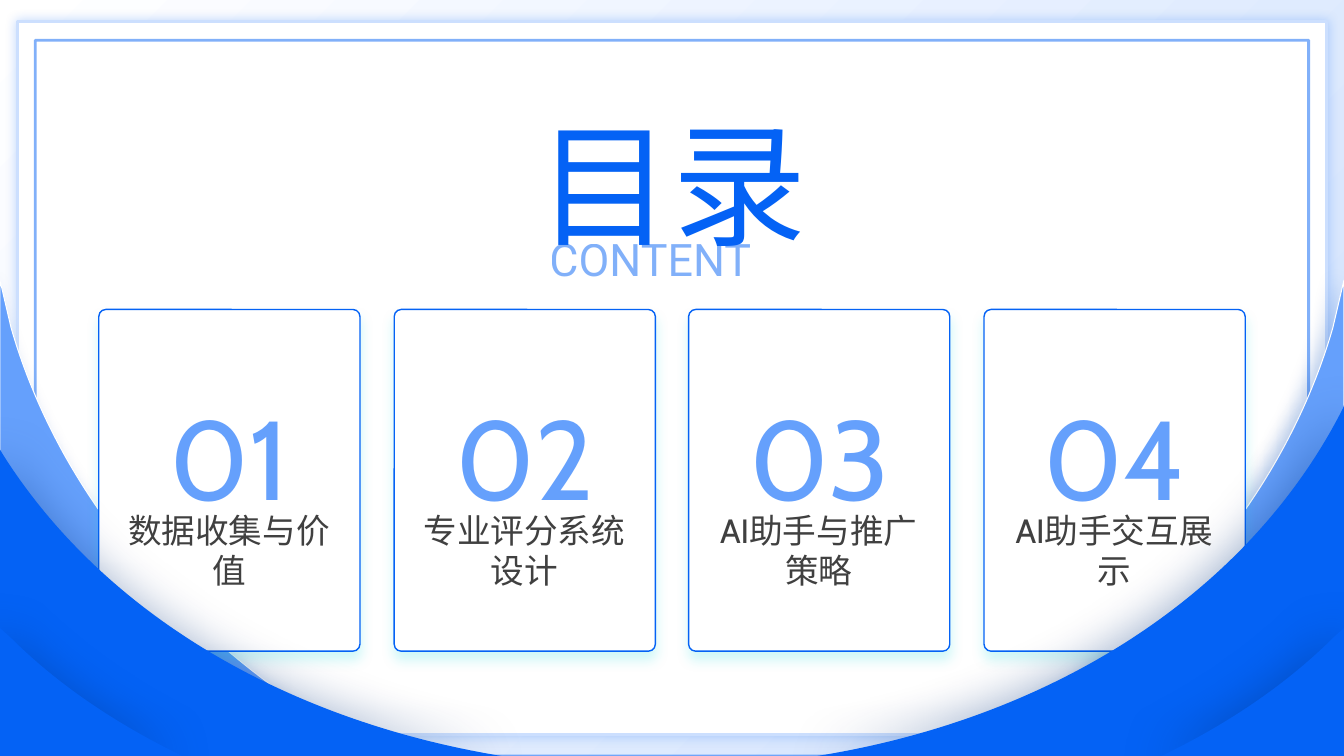
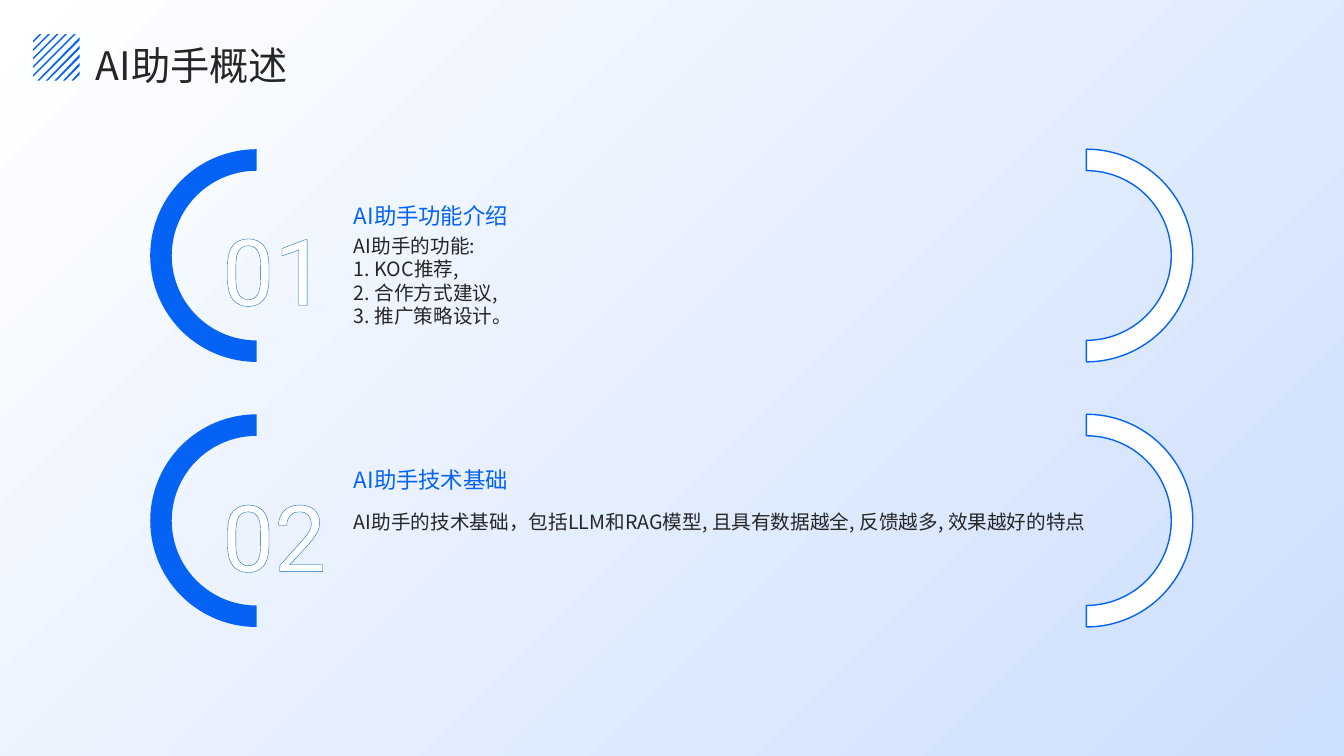
from math import cos, radians, sin

from pptx import Presentation
from pptx.dml.color import RGBColor
from pptx.enum.shapes import MSO_SHAPE
from pptx.enum.text import MSO_ANCHOR, PP_ALIGN
from pptx.oxml import parse_xml
from pptx.oxml.ns import nsdecls, qn
from pptx.util import Pt

PX = 9144
WIDTH, HEIGHT = 1333, 750
BLUE = RGBColor(0x04, 0x62, 0xF5)
LIGHT_BLUE = RGBColor(0x65, 0xA0, 0xFC)
PALE = RGBColor(0xCC, 0xDF, 0xFE)
WHITE = RGBColor(0xFF, 0xFF, 0xFF)
DARK = RGBColor(0x26, 0x26, 0x26)
GREY = RGBColor(0x40, 0x40, 0x40)
NUMBER_LINE = RGBColor(0x00, 0x68, 0xBF)
CYAN = RGBColor(0x00, 0xDA, 0xDA)
MID_SHADOW = RGBColor(0x03, 0x4A, 0xB8)
DEEP_SHADOW = RGBColor(0x02, 0x31, 0x7B)
CABIN, ROBOTO, NOTO = "Cabin", "Roboto", "Noto Sans CJK SC"

FRAME_GLOW = (BLUE, 24, 8, 0, 0)
CARD_GLOW = (CYAN, 18, 9, 6, 90)
MID_GLOW = (MID_SHADOW, 26, 12, 6, 180)
DEEP_GLOW = (DEEP_SHADOW, 40, 36, 3, 180)

LIGHT_WAVE = [(0, 278), (11, 325), (60, 495), (188, 643), (363, 740), (383, 750)]
RIGHT_WAVE = [(0, 402), (1, 405), (92, 585), (281, 708), (510, 748), (522, 750)]
LEFT_WAVE = [(0, 446), (3, 451), (101, 606), (277, 711), (486, 748), (497, 750)]
CORNER_WAVE = [(0, 623), (10, 632), (53, 675), (105, 711), (161, 740), (181, 750)]

TOPICS = ["数据收集与价值", "专业评分系统设计", "AI助手与推广策略", "AI助手交互展示"]
SECTIONS = [
    ("AI助手功能介绍",
     ["AI助手的功能:", "1. KOC推荐,", "2. 合作方式建议, ", "3. 推广策略设计。"], Pt(16.7)),
    ("AI助手技术基础",
     ["AI助手的技术基础，包括LLM和RAG模型, 且具有数据越全, 反馈越多, 效果越好的特点"],
     Pt(25)),
]


def box(*lengths):
    return [length * PX for length in lengths]


def set_alpha(element, percent):
    color = element.find(".//" + qn("a:srgbClr"))
    color.append(parse_xml(f'<a:alpha {nsdecls("a")} val="{percent * 1000}"/>'))


def style(sp, fill=None, line=None, line_width=1, glow=None):
    sp.shadow.inherit = False
    if fill is None:
        sp.fill.background()
    else:
        sp.fill.solid()
        sp.fill.fore_color.rgb = fill
    if line is None:
        sp.line.fill.background()
    else:
        sp.line.color.rgb = line
        sp.line.width = Pt(line_width)
    if glow:
        color, alpha, blur, distance, angle = glow
        effects = sp._element.spPr.find(qn("a:effectLst"))
        effects.append(parse_xml(
            f'<a:outerShdw {nsdecls("a")} blurRad="{Pt(blur)}" dist="{Pt(distance)}" '
            f'dir="{angle * 60000}" algn="ctr" rotWithShape="0"><a:srgbClr val="{color}">'
            f'<a:alpha val="{alpha * 1000}"/></a:srgbClr></a:outerShdw>'))


def add_shape(s, kind, bounds, **look):
    sp = s.shapes.add_shape(kind, *box(*bounds))
    style(sp, **look)
    return sp


def add_outline(s, polygons, **look):
    scaled = [[(x * PX, y * PX) for x, y in polygon] for polygon in polygons]
    builder = s.shapes.build_freeform(*scaled[0][0], scale=1)
    builder.add_line_segments(scaled[0][1:], close=True)
    for polygon in scaled[1:]:
        builder.move_to(*polygon[0])
        builder.add_line_segments(polygon[1:], close=True)
    sp = builder.convert_to_shape()
    style(sp, **look)
    return sp


def add_text(s, bounds, lines, size, color, font, align=PP_ALIGN.LEFT, spacing=1.1,
             anchor=MSO_ANCHOR.TOP, alpha=None, outline=None):
    tf = s.shapes.add_textbox(*box(*bounds)).text_frame
    tf.word_wrap = True
    tf.vertical_anchor = anchor
    tf.margin_left = tf.margin_right = tf.margin_top = tf.margin_bottom = 0
    p = tf.paragraphs[0]
    p.alignment = align
    p.line_spacing = spacing
    for i, line in enumerate(lines):
        if i:
            p.add_line_break()
        r = p.add_run()
        r.text = line
        r.font.size = Pt(size)
        r.font.name = font
        r.font.color.rgb = color
        rpr = r.font._element
        rpr.append(parse_xml(f'<a:ea {nsdecls("a")} typeface="{NOTO}"/>'))
        if alpha:
            set_alpha(rpr, alpha)
        if outline:
            line_color, width = outline
            rpr.insert(0, parse_xml(
                f'<a:ln {nsdecls("a")} w="{Pt(width)}"><a:solidFill>'
                f'<a:srgbClr val="{line_color}"/></a:solidFill></a:ln>'))


def add_background(s):
    sp = add_shape(s, MSO_SHAPE.RECTANGLE, (0, 0, WIDTH, HEIGHT))
    sp.fill.gradient()
    sp.fill.gradient_angle = 315
    for stop, position, color in zip(sp.fill.gradient_stops, (0, 1), (WHITE, PALE)):
        stop.position = position
        stop.color.rgb = color


def turn_back(point, center, degrees):
    x, y = point[0] - center[0], point[1] - center[1]
    c, d = cos(radians(degrees)), sin(radians(degrees))
    return center[0] + x * c + y * d, center[1] - x * d + y * c


def bend(path):
    lines = path.findall(qn("a:lnTo"))[1:4]
    curve = parse_xml(f'<a:cubicBezTo {nsdecls("a")}/>')
    lines[0].addprevious(curve)
    for line in lines:
        curve.append(line[0])
        path.remove(line)


def add_wave(s, points, mirrored, bounds, rotation, **look):
    left, top, width, height = bounds
    center = left + width / 2, top + height / 2
    corners = points + [(0, HEIGHT)]
    if mirrored:
        corners = [(WIDTH - x, y) for x, y in corners]
    sp = add_outline(s, [[turn_back(point, center, rotation) for point in corners]], **look)
    path = sp._element.find(".//" + qn("a:path"))
    bend(path)
    dx, dy = sp.left - left * PX, sp.top - top * PX
    for pt in path.iter(qn("a:pt")):
        pt.set("x", str(int(pt.get("x")) + dx))
        pt.set("y", str(int(pt.get("y")) + dy))
    sp.left, sp.top, sp.width, sp.height = box(*bounds)
    path.set("w", str(sp.width))
    path.set("h", str(sp.height))
    sp.rotation = rotation


def add_frame(s):
    add_outline(s, [[(17, 21), (1316, 21), (1316, 729), (17, 729)]],
                fill=WHITE, line=PALE, line_width=2, glow=FRAME_GLOW)
    border = add_shape(s, MSO_SHAPE.RECTANGLE, (35, 40, 1263, 710), line=BLUE, line_width=2)
    set_alpha(border.line._ln, 50)


def add_hatch(s):
    left, top, right, bottom = 33, 34, 79, 80
    stripes = []
    for i in range(5):
        d = 8.5 * i
        stripes.append([(right, 71 - d), (71 - d, bottom), (73 - d, bottom), (right, 74 - d)])
        stripes.append([(41 + d, top), (39 + d, top), (left, 40 + d), (left, 42 + d)])
    add_outline(s, stripes, fill=BLUE)


def add_section(s, index, heading, lines, spacing):
    arc_top = 148 + 263 * index
    text_top = 187 + 262 * index
    for left, rotation, fill, line in ((149, 270, BLUE, None), (972, 90, WHITE, BLUE)):
        arc = add_shape(s, MSO_SHAPE.BLOCK_ARC, (left, arc_top, 211, 211), fill=fill, line=line)
        for i, value in enumerate((108, 0, 0.101)):
            arc.adjustments[i] = value
        arc.rotation = rotation
    add_text(s, (204, 187 + 264 * index, 136, 126), [f"{index + 1:02}"], 66, WHITE, ROBOTO,
             PP_ALIGN.CENTER, 1.3, MSO_ANCHOR.MIDDLE, outline=(NUMBER_LINE, 1.25))
    add_text(s, (351, text_top, 772, 40), [heading], 16, BLUE, NOTO,
             spacing=1.3, anchor=MSO_ANCHOR.BOTTOM)
    add_text(s, (351, text_top + 45, 772, 108), lines, 14, DARK, NOTO, spacing=spacing)


def build_contents(s):
    add_background(s)
    add_frame(s)
    for mirrored, left, rotation in ((True, 1041, 20.6), (False, -66, 339.4)):
        add_wave(s, LIGHT_WAVE, mirrored, (left, 255, 358, 577), rotation,
                 fill=LIGHT_BLUE, line=WHITE, line_width=0.75, glow=MID_GLOW)
    card_lefts = [98 + (585 * i + 1) // 2 for i in range(len(TOPICS))]
    for left in card_lefts:
        card = add_shape(s, MSO_SHAPE.ROUNDED_RECTANGLE, (left, 307, 259, 339),
                         fill=WHITE, line=BLUE, glow=CARD_GLOW)
        card.adjustments[0] = 0.027
    for points, mirrored, bounds, rotation in (
            (RIGHT_WAVE, True, (948, 343, 417, 592), 37.1),
            (LEFT_WAVE, False, (-23, 382, 397, 542), 322.9),
            (CORNER_WAVE, True, (1210, 609, 128, 218), 44.9),
            (CORNER_WAVE, False, (-5, 609, 128, 218), 315.1)):
        add_wave(s, points, mirrored, bounds, rotation, fill=BLUE, glow=DEEP_GLOW)
    add_text(s, (454, 84, 425, 147), ["目录"], 96, BLUE, CABIN, PP_ALIGN.CENTER,
             Pt(126.7), outline=(WHITE, 1))
    add_text(s, (545, 225, 244, 49), ["CONTENT"], 32, BLUE, ROBOTO,
             PP_ALIGN.JUSTIFY, alpha=50)
    for i, (left, topic) in enumerate(zip(card_lefts, TOPICS), 1):
        add_text(s, (left + 43, 372, 174, 122), [f"{i:02}"], 80, LIGHT_BLUE, CABIN,
                 PP_ALIGN.CENTER)
        add_text(s, (left + 28, 506, 202, 122), [topic], 24, GREY, CABIN,
                 PP_ALIGN.CENTER, Pt(28.7))


def build_overview(s):
    add_background(s)
    for i, section in enumerate(SECTIONS):
        add_section(s, i, *section)
    add_hatch(s)
    add_text(s, (95, 27, 1135, 59), ["AI助手概述"], 28, DARK, NOTO, spacing=Pt(43.7))


def main():
    prs = Presentation()
    prs.slide_width, prs.slide_height = box(WIDTH, HEIGHT)
    for build in (build_contents, build_overview):
        build(prs.slides.add_slide(prs.slide_layouts[6]))
    prs.save("out.pptx")


if __name__ == "__main__":
    main()
